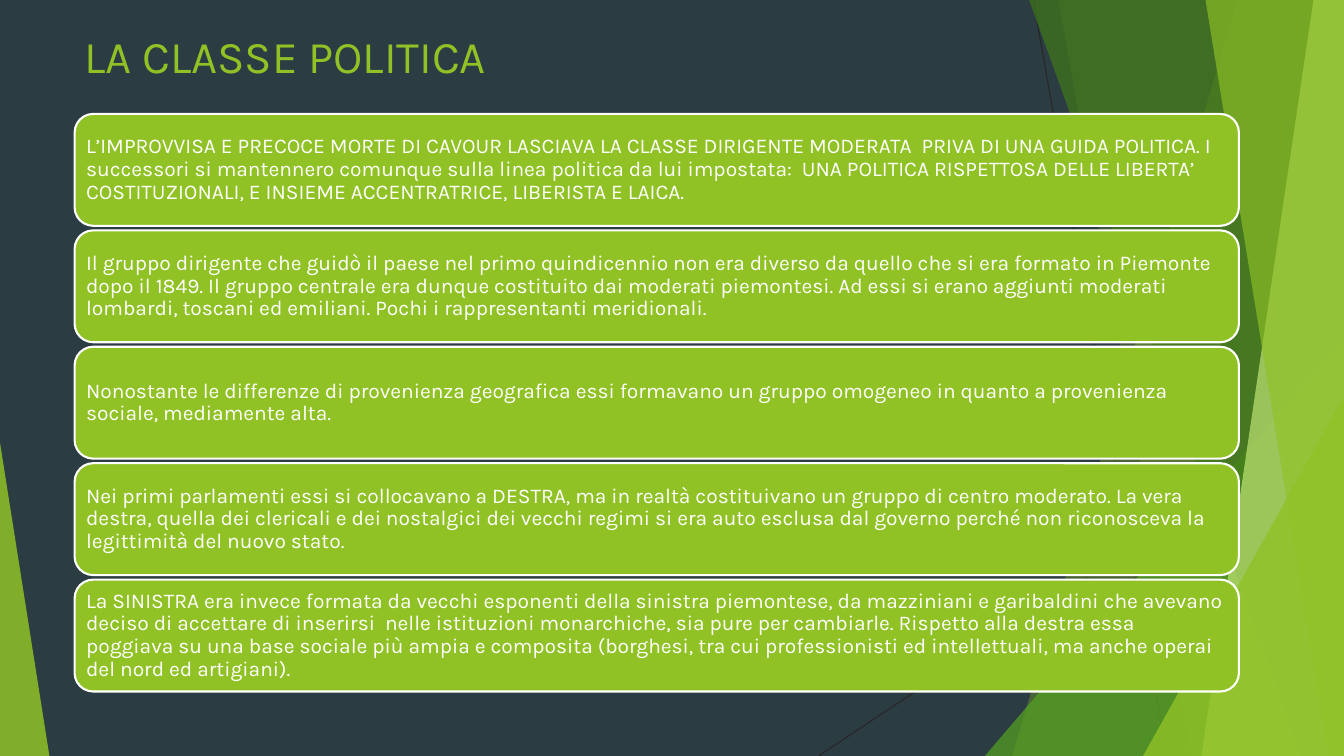
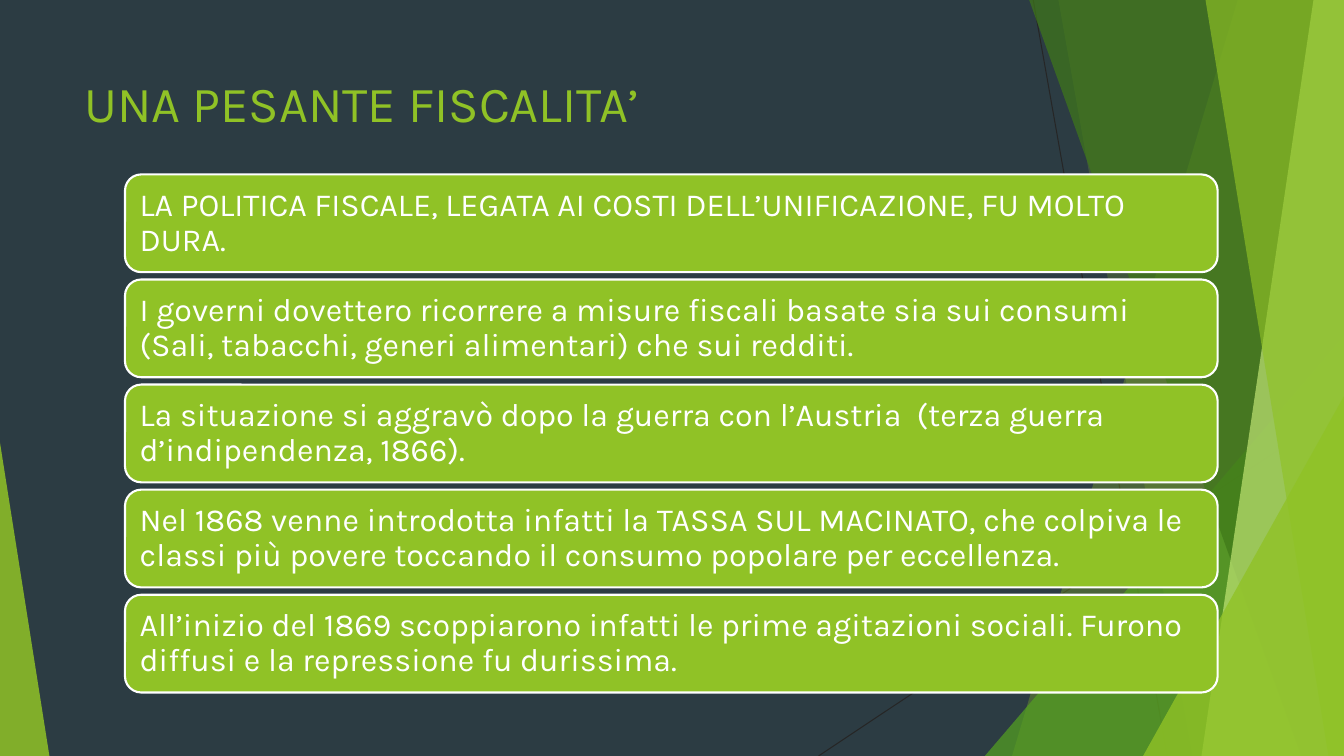
"""Build two slides on Italian politics after unification, sharing a faceted backdrop."""
from pptx import Presentation
from pptx.dml.color import RGBColor
from pptx.enum.shapes import MSO_CONNECTOR as CONN, MSO_SHAPE as SHAPE
from pptx.enum.text import MSO_ANCHOR as ANCHOR, PP_ALIGN as ALIGN
from pptx.oxml.ns import qn
from pptx.util import Inches, Pt
from lxml.etree import SubElement

NIGHT = RGBColor(0x2C, 0x3C, 0x43)
LIME = RGBColor(0x90, 0xC2, 0x26)
GREEN = RGBColor(0x54, 0xA0, 0x21)
FOREST = RGBColor(0x3F, 0x78, 0x19)
PALE = RGBColor(0xC0, 0xE4, 0x74)
INK = RGBColor(0x26, 0x26, 0x26)
WHITE = RGBColor(0xFF, 0xFF, 0xFF)
FONT = "Karla"

prs = Presentation()
prs.slide_width, prs.slide_height = 12192000, 6858000
COL, ROW = prs.slide_width / 100, prs.slide_height / 100

LINES = [(76.88, 0, 86.85, 100), (100, 53.73, 60.9, 100)]
BAND, WEDGE = "band", "wedge"
FACETS = [
    (BAND, LIME, 30, (92.1, 75.3)),
    (BAND, LIME, 20, (78.75, 88.73)),
    (WEDGE, GREEN, 72, (73.28, 44.4, 26.72, 1)),
    (BAND, FOREST, 70, (76.58, 96.83)),
    (BAND, PALE, 70, (97.73, 89.4)),
    (BAND, LIME, 65, (89.7, 98.85)),
    (WEDGE, LIME, 80, (85.05, 52.4, 14.95, 1)),
    (WEDGE, LIME, 85, (0, 58.53, 3.68, 0)),
]

SLIDES = [
    {
        "title": "LA CLASSE POLITICA",
        "title_box": (5.55, 3.07, 70.5, 8.8),
        "title_size": 32.4,
        "card": (5.55, 15.07, 86.63, 14.8),
        "pitch": 15.4,
        "inset": 0.06,
        "size": 15,
        "texts": [
            "L’IMPROVVISA E PRECOCE MORTE DI CAVOUR LASCIAVA LA CLASSE DIRIGENTE MODERATA  PRIVA DI "
            "UNA GUIDA POLITICA. I successori si mantennero comunque sulla linea politica da lui "
            "impostata:  UNA POLITICA RISPETTOSA DELLE LIBERTA’ COSTITUZIONALI, E INSIEME "
            "ACCENTRATRICE, LIBERISTA E LAICA.",
            "Il gruppo dirigente che guidò il paese nel primo quindicennio non era diverso da quello "
            "che si era formato in Piemonte dopo il 1849. Il gruppo centrale era dunque costituito dai "
            "moderati piemontesi. Ad essi si erano aggiunti moderati lombardi, toscani ed emiliani. "
            "Pochi i rappresentanti meridionali.",
            "Nonostante le differenze di provenienza geografica essi formavano un gruppo omogeneo in "
            "quanto a provenienza sociale, mediamente alta.",
            "Nei primi parlamenti essi si collocavano a DESTRA, ma in realtà costituivano un gruppo di "
            "centro moderato. La vera destra, quella dei clericali e dei nostalgici dei vecchi regimi "
            "si era auto esclusa dal governo perché non riconosceva la legittimità del nuovo stato.",
            "La SINISTRA era invece formata da vecchi esponenti della sinistra piemontese, da "
            "mazziniani e garibaldini che avevano deciso di accettare di inserirsi  nelle istituzioni "
            "monarchiche, sia pure per cambiarle. Rispetto alla destra essa poggiava su una base "
            "sociale più ampia e composita (borghesi, tra cui professionisti ed intellettuali, ma "
            "anche operai del nord ed artigiani).",
        ],
    },
    {
        "title": "UNA PESANTE FISCALITA’",
        "title_box": (5.55, 8.93, 70.5, 19.2),
        "title_size": 36,
        "card": (9.3, 23.07, 81.3, 12.93),
        "pitch": 13.9,
        "inset": 0.1,
        "size": 23,
        "texts": [
            "LA POLITICA FISCALE, LEGATA AI COSTI DELL’UNIFICAZIONE, FU MOLTO DURA.",
            "I governi dovettero ricorrere a misure fiscali basate sia sui consumi (Sali, tabacchi, "
            "generi alimentari) che sui redditi.",
            "La situazione si aggravò dopo la guerra con l’Austria  (terza guerra d’indipendenza, "
            "1866).",
            "Nel 1868 venne introdotta infatti la TASSA SUL MACINATO, che colpiva le classi più povere "
            "toccando il consumo popolare per eccellenza.",
            "All’inizio del 1869 scoppiarono infatti le prime agitazioni sociali. Furono diffusi e la "
            "repressione fu durissima.",
        ],
    },
]


def grid(*shares):
    return [round(v * (ROW if i % 2 else COL)) for i, v in enumerate(shares)]


def write(sp, text, size, color, frame, para):
    tf = sp.text_frame
    p = tf.paragraphs[0]
    r = p.add_run()
    r.text = text
    font = {"name": FONT, "size": Pt(size)}
    for obj, values in ((tf, {"word_wrap": True, **frame}), (p, para), (r.font, font)):
        for name, value in values.items():
            setattr(obj, name, value)
    r.font.color.rgb = color


fill = prs.slide_master.background.fill
fill.solid()
fill.fore_color.rgb = NIGHT

for spec in SLIDES:
    s = prs.slides.add_slide(prs.slide_layouts[6])

    for ends in LINES:
        cx = s.shapes.add_connector(CONN.STRAIGHT, *grid(*ends))
        cx.line.color.rgb = INK
        cx.line.width = Pt(0.75)
        SubElement(cx._element.spPr, qn("a:effectLst"))

    for kind, color, alpha, place in FACETS:
        if kind == BAND:
            top, bottom = place
            fb = s.shapes.build_freeform(*grid(top, 0))
            fb.add_line_segments([grid(100, 0), grid(100, 100), grid(bottom, 100)])
            sp = fb.convert_to_shape()
        else:
            left, top, width, apex = place
            sp = s.shapes.add_shape(SHAPE.ISOSCELES_TRIANGLE, *grid(left, top, width, 100 - top))
            sp.adjustments[0] = apex
        sp.shadow.inherit = False
        sp.fill.solid()
        sp.fill.fore_color.rgb = color
        tint = sp._element.spPr.find(".//" + qn("a:srgbClr"))
        SubElement(tint, qn("a:alpha"), val=str(alpha * 1000))
        sp.line.fill.background()

    tb = s.shapes.add_textbox(*grid(*spec["title_box"]))
    write(tb, spec["title"], spec["title_size"], LIME, {"vertical_anchor": ANCHOR.TOP}, {})

    left, top, width, height = spec["card"]
    frame = {f"margin_{side}": Inches(spec["inset"]) for side in ("left", "top", "right", "bottom")}
    frame["vertical_anchor"] = ANCHOR.MIDDLE
    para = {"alignment": ALIGN.LEFT, "line_spacing": 0.9}
    for i, text in enumerate(spec["texts"]):
        box = grid(left, top + i * spec["pitch"], width, height)
        sp = s.shapes.add_shape(SHAPE.ROUNDED_RECTANGLE, *box)
        sp.shadow.inherit = False
        sp.fill.solid()
        sp.fill.fore_color.rgb = LIME
        sp.line.color.rgb = WHITE
        sp.line.width = Pt(1.5)
        write(sp, text, spec["size"], WHITE, frame, para)

prs.save("out.pptx")
